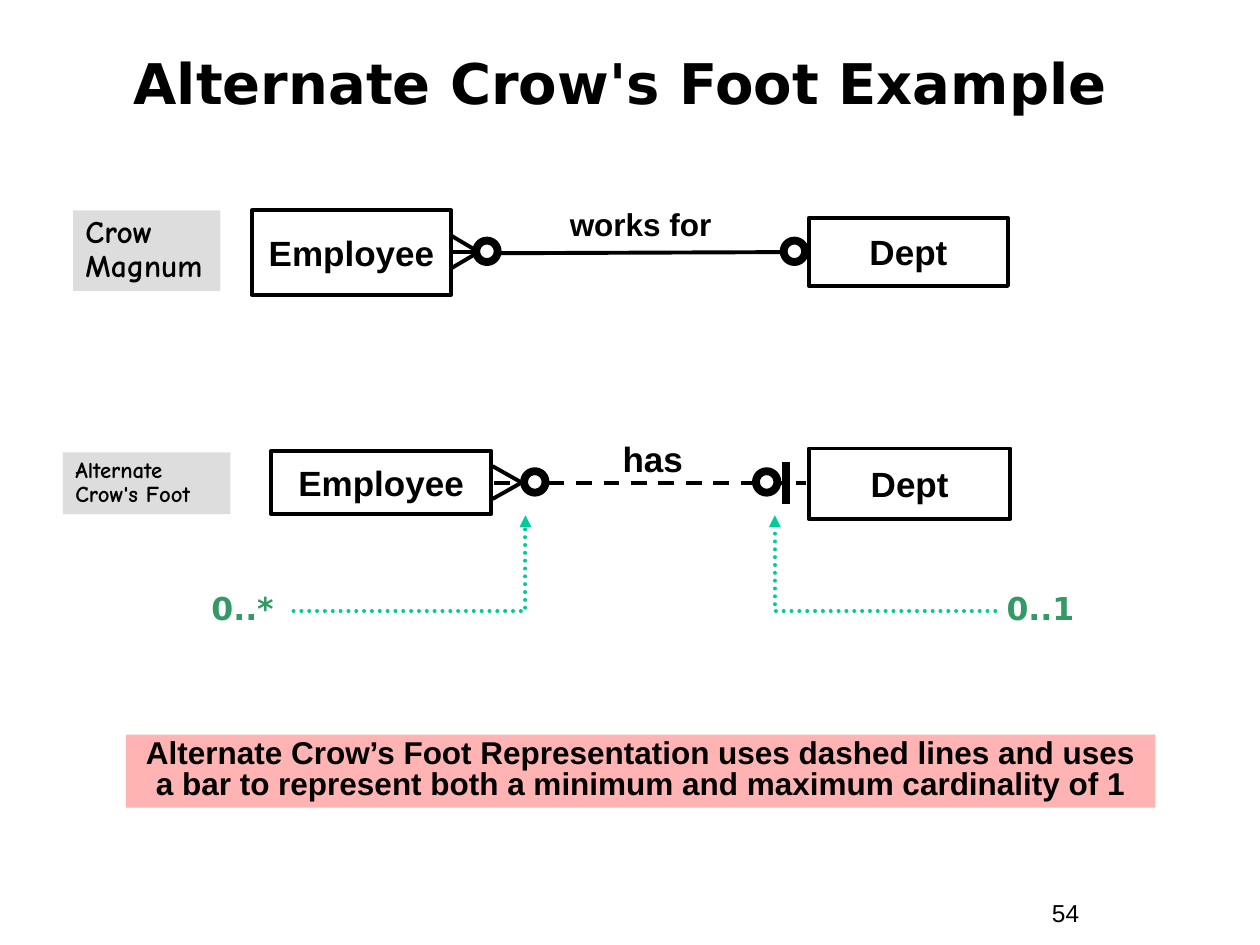
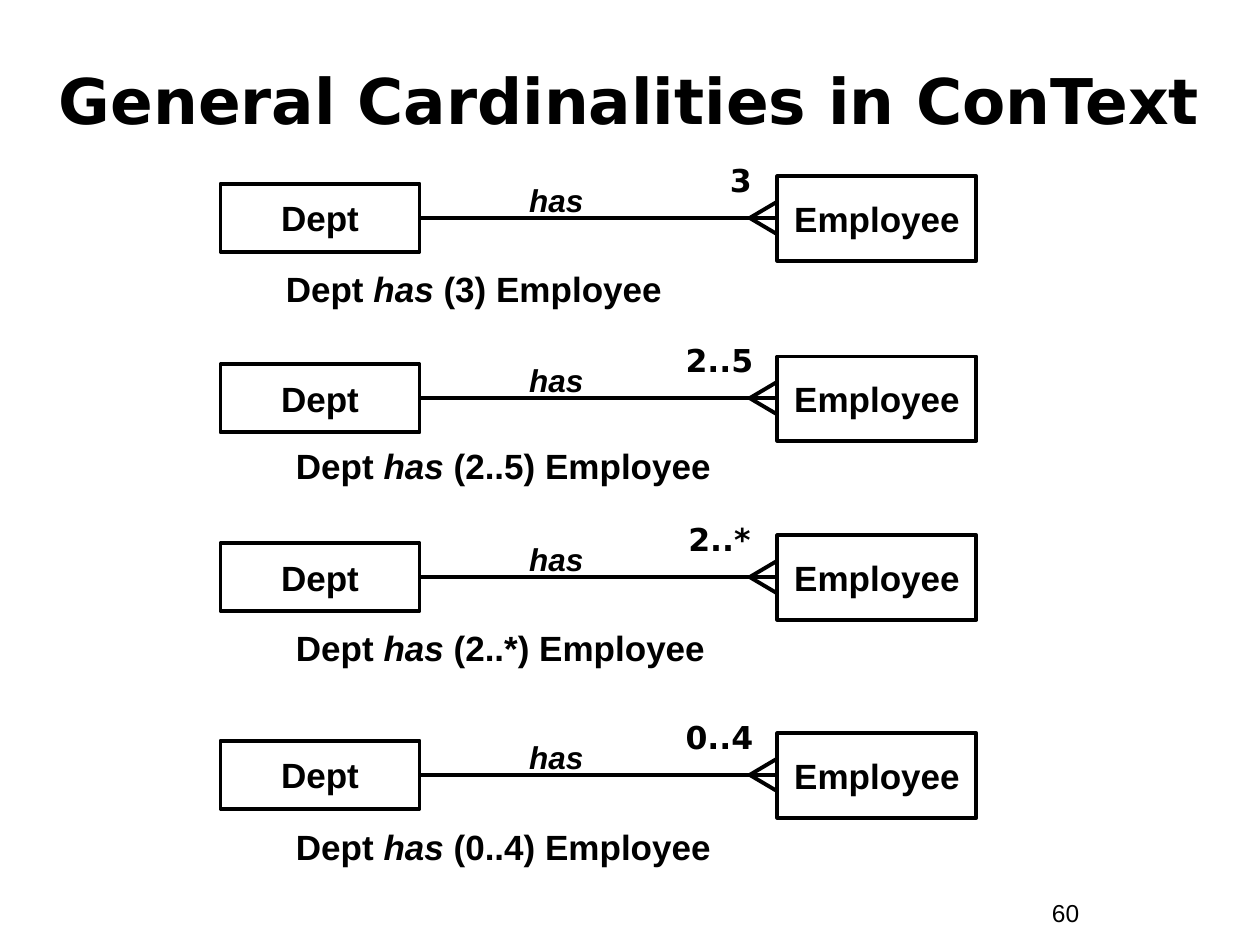
from lxml import etree
from pptx import Presentation
from pptx.dml.color import RGBColor
from pptx.enum import dml, shapes, text
from pptx.oxml.ns import qn
from pptx.util import Inches, Pt

BLACK = RGBColor(0x00, 0x00, 0x00)
WHITE = RGBColor(0xFF, 0xFF, 0xFF)
GREY = RGBColor(0xDD, 0xDD, 0xDD)
PINK = RGBColor(0xFF, 0xB3, 0xB3)
GREEN = RGBColor(0x33, 0x99, 0x66)
TEAL = RGBColor(0x00, 0xCC, 0x99)

BODY, HEADING, NOTE = "Arial", "DejaVu Sans", "Comic Neue"
THIN, THICK = 2.25, 4.5
LEFT, CENTER = text.PP_ALIGN.LEFT, text.PP_ALIGN.CENTER
TOP, MIDDLE = text.MSO_ANCHOR.TOP, text.MSO_ANCHOR.MIDDLE
FOOT_SPREAD = 0.13
RING_SIZE = 0.17


class Deck:
    """Holds the presentation, its style and the current slide."""

    def __init__(self):
        self.prs = Presentation()
        self.prs.slide_width = Inches(10)
        self.prs.slide_height = Inches(7.5)
        self.s = None

    def slide(self, number):
        self.s = self.prs.slides.add_slide(self.prs.slide_layouts[6])
        self.label(str(number), 8.25, 7.08, 0.92, 0.34, size=14, bold=False)

    def set_text(self, sp, content, size=18, font=BODY, color=BLACK, bold=True,
                 italic=False, align=LEFT, anchor=TOP, spacing=None, wrap=True):
        """Fill a shape with one paragraph; content is text or (text, italic) runs."""
        tf = sp.text_frame
        tf.word_wrap = wrap
        tf.vertical_anchor = anchor
        p = tf.paragraphs[0]
        if isinstance(content, str):
            p.text = content
            p.font.italic = italic
        else:
            for words, slanted in content:
                r = p.add_run()
                r.text = words
                r.font.italic = slanted
        p.alignment = align
        p.line_spacing = spacing
        p.font.name, p.font.size, p.font.bold = font, Pt(size), bold
        p.font.color.rgb = color

    def label(self, content, x, y, w, h, **style):
        sp = self.s.shapes.add_textbox(Inches(x), Inches(y), Inches(w), Inches(h))
        self.set_text(sp, content, **style)

    def title(self, words, x, y, w, h, size, spacing=None):
        self.label(words, x, y, w, h, size=size, font=HEADING, align=CENTER,
                   anchor=MIDDLE, spacing=spacing)

    def shape(self, kind, x, y, w, h, fill=None, line=None):
        sp = self.s.shapes.add_shape(kind, Inches(x), Inches(y), Inches(w), Inches(h))
        sp.shadow.inherit = False
        if fill is None:
            sp.fill.background()
        else:
            sp.fill.solid()
            sp.fill.fore_color.rgb = fill
        if line is None:
            sp.line.fill.background()
        else:
            sp.line.color.rgb = BLACK
            sp.line.width = Pt(line)
        return sp

    def entity(self, name, x, y, w, h):
        sp = self.shape(shapes.MSO_SHAPE.RECTANGLE, x, y, w, h, line=THIN)
        self.set_text(sp, name, size=20, align=CENTER, anchor=MIDDLE, wrap=False)

    def panel(self, words, x, y, w, h, fill, **style):
        sp = self.shape(shapes.MSO_SHAPE.RECTANGLE, x, y, w, h, fill=fill)
        self.set_text(sp, words, **style)

    def ring(self, x, y):
        self.shape(shapes.MSO_SHAPE.OVAL, x, y, RING_SIZE, RING_SIZE, WHITE, THICK)

    def line(self, x1, y1, x2, y2, width=THIN, color=BLACK, dash=None,
             kind=shapes.MSO_CONNECTOR.STRAIGHT):
        c = self.s.shapes.add_connector(kind, Inches(x1), Inches(y1),
                                        Inches(x2), Inches(y2))
        c.line.color.rgb = color
        c.line.width = Pt(width)
        if dash is not None:
            c.line.dash_style = dash
        etree.SubElement(c._element.spPr, qn("a:effectLst"))
        return c

    def foot(self, tip, y, edge):
        """Draw the two outer toes of a crow's foot."""
        for spread in (-FOOT_SPREAD, FOOT_SPREAD):
            self.line(tip, y, edge, y + spread)

    def pointer(self, x1, y1, x2, y2):
        """Draw a dotted arrow that runs sideways, then up."""
        c = self.line(x1, y1, x2, y2, color=TEAL, dash=dml.MSO_LINE.ROUND_DOT,
                      kind=shapes.MSO_CONNECTOR.ELBOW)
        spPr = c._element.spPr
        spPr.find(qn("a:prstGeom")).set("prst", "bentConnector2")
        ln = spPr.find(qn("a:ln"))
        ln.set("cap", "rnd")
        etree.SubElement(ln, qn("a:tailEnd"), type="triangle")


def alternate_example(d):
    d.slide(54)
    d.title("Alternate Crow's Foot Example", 0.09, 0.33, 9.67, 0.75, 32, spacing=0.8)

    # First notation: solid line
    d.panel("Crow\vMagnum", 0.58, 1.67, 1.17, 0.64, GREY, font=NOTE, spacing=0.9)
    d.entity("Employee", 2, 1.67, 1.58, 0.67)
    d.entity("Dept", 6.42, 1.73, 1.58, 0.54)
    d.foot(3.8, 2, 3.58)
    d.line(3.75, 2, 3.58, 2)
    d.line(6.42, 2, 3.92, 2.01)
    d.label("works for", 4.25, 1.58, 1.67, 0.4, align=CENTER)
    d.ring(3.78, 1.91)
    d.ring(6.22, 1.91)

    # Second notation: dashed line with a bar
    d.panel("Alternate Crow's Foot", 0.5, 3.59, 1.33, 0.49, GREY, size=13,
            font=NOTE, spacing=0.9)
    d.entity("Employee", 2.15, 3.58, 1.75, 0.5)
    d.entity("Dept", 6.42, 3.56, 1.6, 0.56)
    d.line(3.92, 3.83, 6.4, 3.83, dash=dml.MSO_LINE.DASH)
    d.label("has", 4.84, 3.42, 0.68, 0.44, size=20, align=CENTER, wrap=False)
    d.line(6.24, 3.67, 6.24, 4, width=THICK)
    d.foot(4.14, 3.83, 3.91)
    d.ring(4.16, 3.74)
    d.ring(6, 3.74)

    # Cardinalities
    for words, x, start, end in (("0..*", 1.58, 2.33, 4.17), ("0..1", 7.89, 7.9, 6.15)):
        d.label(words, x, 4.67, 0.75, 0.36, font=HEADING, color=GREEN, spacing=0.85)
        d.pointer(start, 4.85, end, 4.09)

    # Summary
    d.panel("Alternate Crow’s Foot Representation uses dashed lines and uses a bar "
            "to represent both a minimum and maximum cardinality of 1",
            1, 5.83, 8.17, 0.58, PINK, align=CENTER, spacing=0.8)


def general_cardinalities(d):
    d.slide(60)
    d.title("General Cardinalities in ConText", 0.33, 0.33, 9.33, 0.92, 36)

    # Cardinality, its centre, line height, caption left and top
    rows = (("3", 5.88, 1.73, 2.17, 2.07),
            ("2..5", 5.71, 3.16, 2.25, 3.48),
            ("2..*", 5.71, 4.58, 2.25, 4.92),
            ("0..4", 5.71, 6.15, 2.25, 6.5))
    for count, center, y, caption_x, caption_y in rows:
        d.entity("Dept", 1.75, y - 0.27, 1.58, 0.54)
        d.entity("Employee", 6.17, y - 0.33, 1.58, 0.67)
        d.foot(5.95, y, 6.17)
        d.line(3.33, y, 6.17, y)
        d.label("has", 3.58, y - 0.34, 1.67, 0.4, italic=True, align=CENTER)
        d.label(count, center - 0.54, y - 0.5, 1.08, 0.4, font=HEADING, align=CENTER)
        d.label((("Dept ", False), ("has", True), (f" ({count}) Employee", False)),
                caption_x, caption_y, 3.67, 0.44, size=20)


def main():
    d = Deck()
    alternate_example(d)
    general_cardinalities(d)
    d.prs.save("out.pptx")


if __name__ == "__main__":
    main()
